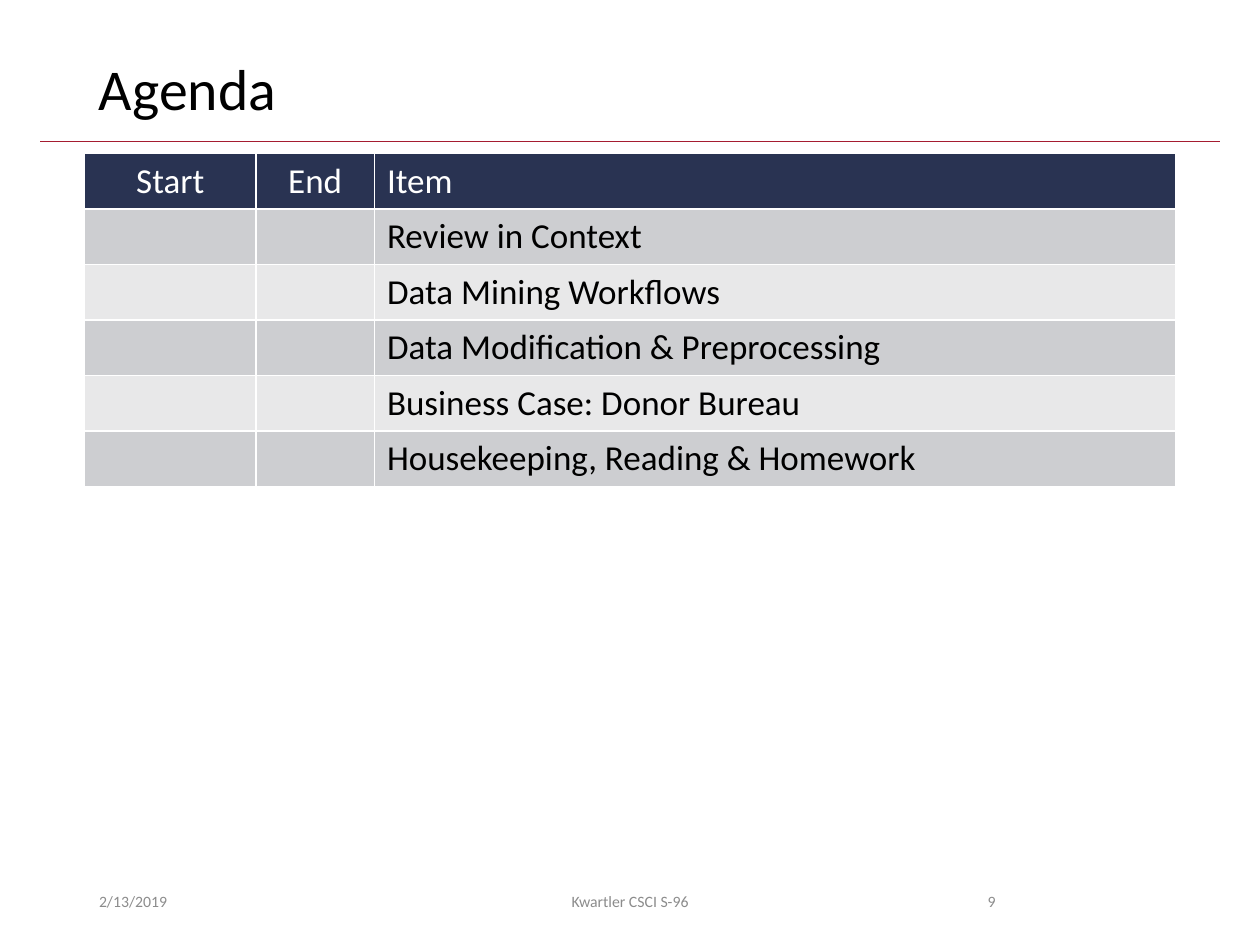
import pptx
import pptx.util
import pptx.dml.color
import pptx.enum.shapes
import pptx.enum.text
import pptx.oxml
import pptx.oxml.ns
from lxml import etree

Pt = pptx.util.Pt
ALIGN = pptx.enum.text.PP_ALIGN
MIDDLE = pptx.enum.text.MSO_ANCHOR.MIDDLE

# Content
title = "Agenda"
headings = ["Start", "End", "Item"]
items = [
    "Review in Context",
    "Data Mining Workflows",
    "Data Modification & Preprocessing",
    "Business Case: Donor Bureau",
    "Housekeeping, Reading & Homework",
]
# Footer: text, left, width, alignment
footer = [
    ("2/13/2019", 49.5, 162, ALIGN.LEFT),
    ("Kwartler CSCI S-96", 238.5, 243, ALIGN.CENTER),
    ("9", 508.5, 67.5, ALIGN.RIGHT),
]

theme = {
    "font": "Calibri",
    "title_size": 33, "table_size": 20, "footer_size": 9,
    "ink": "000000", "paper": "FFFFFF", "muted": "8C8C8C", "rule": "A51C30",
    "header": "293352", "bands": ["CDCED1", "E8E8E9"],
}
column_widths = [97.9, 67.7, 457.9]
row_height = 31.7


def color(name):
    return pptx.dml.color.RGBColor.from_string(name)


def write(frame, text, size, ink, align=ALIGN.LEFT):
    frame.text = text
    paragraph = frame.paragraphs[0]
    paragraph.alignment = align
    for run in paragraph.runs:
        run.font.name = theme["font"]
        run.font.size = Pt(size)
        run.font.color.rgb = color(ink)
    return paragraph


def add_text(text, left, top, width, height, size, ink, align=ALIGN.LEFT):
    frame = slide.shapes.add_textbox(Pt(left), Pt(top), Pt(width), Pt(height)).text_frame
    frame.word_wrap = True
    frame.vertical_anchor = MIDDLE
    return write(frame, text, size, ink, align)


def add_borders(cell):
    properties = cell._tc.get_or_add_tcPr()
    for position, side in enumerate(("lnL", "lnR", "lnT", "lnB")):
        border = pptx.oxml.parse_xml(
            f'<a:{side} {pptx.oxml.ns.nsdecls("a")} w="{Pt(1)}"><a:solidFill>'
            f'<a:srgbClr val="{theme["paper"]}"/></a:solidFill></a:{side}>')
        properties.insert(position, border)


deck = pptx.Presentation()
deck.slide_width, deck.slide_height = Pt(720), Pt(540)
slide = deck.slides.add_slide(deck.slide_layouts[6])

# Title and rule
rule = slide.shapes.add_connector(
    pptx.enum.shapes.MSO_CONNECTOR.STRAIGHT, Pt(23), Pt(80.7), Pt(697), Pt(80.7))
rule.line.color.rgb = color(theme["rule"])
rule.line.width = Pt(0.5)
etree.SubElement(rule._element.spPr, pptx.oxml.ns.qn("a:effectLst"))
heading = add_text(title, 49.5, 28.8, 621, 46.8, theme["title_size"], theme["ink"])
heading.line_spacing = 0.9

# Agenda table
rows = [headings] + [["", "", item] for item in items]
agenda = slide.shapes.add_table(
    len(rows), len(headings), Pt(48.4), Pt(87.8),
    Pt(sum(column_widths)), Pt(row_height * len(rows))).table
for column, width in zip(agenda.columns, column_widths):
    column.width = Pt(width)
for r, row in enumerate(rows):
    agenda.rows[r].height = Pt(row_height)
    fill = theme["bands"][(r - 1) % 2] if r else theme["header"]
    ink = theme["ink"] if r else theme["paper"]
    for c, text in enumerate(row):
        cell = agenda.cell(r, c)
        cell.fill.solid()
        cell.fill.fore_color.rgb = color(fill)
        add_borders(cell)
        paragraph = write(cell.text_frame, text, theme["table_size"], ink,
                          ALIGN.CENTER if c < 2 else ALIGN.LEFT)
        for run in paragraph.runs:
            run.font.bold = False

# Footer
for text, left, width, align in footer:
    add_text(text, left, 500.5, width, 28.8, theme["footer_size"], theme["muted"], align)

deck.save("out.pptx")
